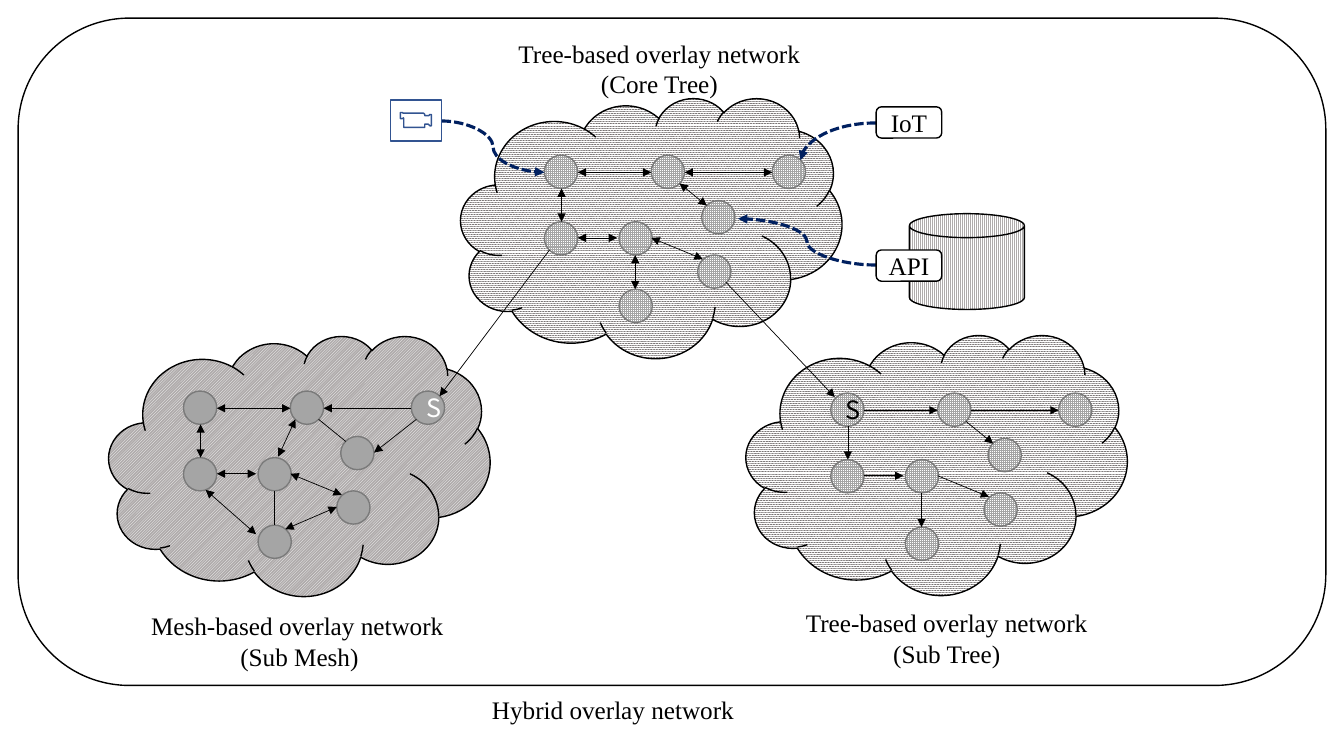
from lxml import etree
from pptx import Presentation
from pptx.dml.color import RGBColor
from pptx.enum.dml import MSO_LINE, MSO_PATTERN
from pptx.enum.shapes import MSO_CONNECTOR, MSO_SHAPE
from pptx.enum.text import MSO_ANCHOR, MSO_AUTO_SIZE, PP_ALIGN
from pptx.oxml.ns import qn
from pptx.util import Inches, Pt

CLOUD, OVAL, ROUNDED = MSO_SHAPE.CLOUD, MSO_SHAPE.OVAL, MSO_SHAPE.ROUNDED_RECTANGLE
CAN, MOVIE = MSO_SHAPE.CAN, MSO_SHAPE.ACTION_BUTTON_MOVIE
STRAIGHT, CURVE = MSO_CONNECTOR.STRAIGHT, MSO_CONNECTOR.CURVE
DASH = MSO_LINE.SQUARE_DOT
LEFT, CENTER, MIDDLE = PP_ALIGN.LEFT, PP_ALIGN.CENTER, MSO_ANCHOR.MIDDLE
FIT_TEXT = MSO_AUTO_SIZE.SHAPE_TO_FIT_TEXT

BLACK = RGBColor(0x00, 0x00, 0x00)
WHITE = RGBColor(0xFF, 0xFF, 0xFF)
NAVY = RGBColor(0x00, 0x20, 0x60)
BLUE = RGBColor(0x32, 0x54, 0x91)
GRAY = RGBColor(0xA5, 0xA5, 0xA5)
LIGHT_GRAY = RGBColor(0xAF, 0xAB, 0xAB)
DARK_GRAY = RGBColor(0x76, 0x71, 0x71)
NODE_EDGE = RGBColor(0x7A, 0x7A, 0x7A)

# Patterned fills: pattern, foreground, background
TREE_FILL = (MSO_PATTERN.PERCENT_90, WHITE, DARK_GRAY)
MESH_FILL = (MSO_PATTERN.LIGHT_UPWARD_DIAGONAL, WHITE, LIGHT_GRAY)
STORE_FILL = (MSO_PATTERN.NARROW_VERTICAL, WHITE, LIGHT_GRAY)
NODE_FILL = (MSO_PATTERN.SMALL_GRID, GRAY, WHITE)

SERIF = "Times New Roman"
SANS = "Noto Sans CJK KR"
HEAD, TAIL, BOTH, NONE = ("headEnd",), ("tailEnd",), ("headEnd", "tailEnd"), ()

prs = Presentation()
prs.slide_width, prs.slide_height = Inches(13.33), Inches(7.5)
s = prs.slides.add_slide(prs.slide_layouts[6])


def add_shape(kind, box, fill, line=BLACK, text="", font=SERIF, color=BLACK):
    """Add an outlined shape; fill is a colour, a pattern tuple or None."""
    sp = s.shapes.add_shape(kind, *[Inches(v) for v in box])
    sp.shadow.inherit = False
    if fill is None:
        sp.fill.background()
    elif isinstance(fill, RGBColor):
        sp.fill.solid()
        sp.fill.fore_color.rgb = fill
    else:
        sp.fill.patterned()
        sp.fill.pattern, sp.fill.fore_color.rgb, sp.fill.back_color.rgb = fill
    sp.line.color.rgb = line
    sp.line.width = Pt(1)
    if text:
        sp.text_frame.vertical_anchor = MIDDLE
        p = sp.text_frame.paragraphs[0]
        p.alignment = CENTER
        r = p.add_run()
        r.text = text
        r.font.name, r.font.size = font, Pt(18)
        r.font.color.rgb = color


def add_line(points, ends, kind=STRAIGHT, color=BLACK, width=0.5):
    """Add a connector with triangle arrowheads at the given ends."""
    cx = s.shapes.add_connector(kind, *[Inches(v) for v in points])
    cx.line.color.rgb = color
    cx.line.width = Pt(width)
    if kind == CURVE:
        cx.line.dash_style = DASH
    ln = cx.line._get_or_add_ln()
    for end in ends:
        etree.SubElement(ln, qn("a:" + end)).set("type", "triangle")
    etree.SubElement(cx._element.spPr, qn("a:effectLst"))
    return cx


# Frame and data store
add_shape(ROUNDED, (0.18, 0.18, 12.97, 6.62), WHITE)
add_shape(CAN, (9.02, 2.12, 1.14, 0.95), STORE_FILL)

# All three networks share one layout, measured from their first node
NODE = 0.33
NODES = [(0, 0), (0, 0.66), (0.74, 0.66), (1.06, 0), (1.56, 0.45),
         (1.52, 0.99), (2.26, 0), (0.74, 1.33)]
EDGES = [(0.33, 0.17, 1.06, 0.17), (0.17, 0.33, 0.17, 0.66),
         (0.33, 0.82, 0.72, 0.82), (1.06, 0.82, 1.57, 1.03),
         (1.39, 0.17, 2.26, 0.17), (1.34, 0.28, 1.61, 0.5),
         (0.9, 0.99, 0.9, 1.33)]

# Cloud corner, cloud fill, first node, node fill, source node, its colour,
# arrow ends per edge, further lines
NETWORKS = [
    ((4.57, 0.97), TREE_FILL, (5.4, 1.54), NODE_FILL, None, BLACK, [BOTH] * 7, []),
    ((1.08, 3.33), MESH_FILL, (1.82, 3.88), GRAY, 6, WHITE,
     [BOTH] * 4 + [HEAD, NONE, NONE],
     [((4.36, 3.93, 5.45, 2.48), HEAD),
      ((2.93, 4.16, 2.76, 4.53), BOTH),
      ((3.34, 5.03, 2.83, 5.25), BOTH),
      ((2.54, 5.3, 2.04, 4.86), BOTH),
      ((4.13, 4.16, 3.71, 4.49), TAIL)]),
    ((7.4, 3.32), TREE_FILL, (8.24, 3.9), NODE_FILL, 0, BLACK, [TAIL] * 7,
     [((8.28, 3.94, 7.2, 2.8), HEAD)]),
]
for corner, cloud_fill, (x, y), node_fill, source, color, ends, extra in NETWORKS:
    add_shape(CLOUD, (*corner, 3.78, 2.58), cloud_fill)
    for i, (dx, dy) in enumerate(NODES):
        add_shape(OVAL, (x + dx, y + dy, NODE, NODE), node_fill, NODE_EDGE,
                  "S" if i == source else "", SANS, color)
    for (x1, y1, x2, y2), edge_ends in zip(EDGES, ends):
        add_line((x + x1, y + y1, x + x2, y + y2), edge_ends)
    for points, line_ends in extra:
        add_line(points, line_ends)

# Devices and services feeding the core tree
add_line((4.38, 1.2, 5.4, 1.71), TAIL, CURVE, NAVY, 2.25)
add_shape(MOVIE, (3.87, 0.99, 0.51, 0.41), None, BLUE)
iot_link = add_line((8.69, 1.22, 7.94, 1.59), TAIL, CURVE, NAVY, 2.25)
iot_link._element.spPr.find(qn("a:prstGeom")).set("prst", "curvedConnector2")
add_line((8.69, 2.63, 7.32, 2.17), TAIL, CURVE, NAVY, 2.25)
for label, top in [("IoT", 1.06), ("API", 2.48)]:
    add_shape(ROUNDED, (8.69, top, 0.65, 0.31), WHITE, text=label)

# Captions: left, top, height, paragraphs with alignment
CAPTIONS = [
    (1.4, 6.01, 0.71, [("Mesh-based overlay network", LEFT), ("(Sub Mesh)", CENTER)]),
    (4.97, 0.33, 0.71, [("Tree-based overlay network (Core Tree)", CENTER)]),
    (7.82, 5.98, 0.71, [("Tree-based overlay network", CENTER), ("(Sub Tree)", CENTER)]),
    (4.51, 6.84, 0.4, [("Hybrid overlay network", CENTER)]),
]
for left, top, height, lines in CAPTIONS:
    tb = s.shapes.add_textbox(Inches(left), Inches(top), Inches(3.14), Inches(height))
    tf = tb.text_frame
    tf.word_wrap = True
    tf.auto_size = FIT_TEXT
    for i, (text, alignment) in enumerate(lines):
        p = tf.add_paragraph() if i else tf.paragraphs[0]
        p.alignment = alignment
        r = p.add_run()
        r.text = text
        r.font.name, r.font.size = SERIF, Pt(18)
        r.font.color.rgb = BLACK

prs.save("out.pptx")
